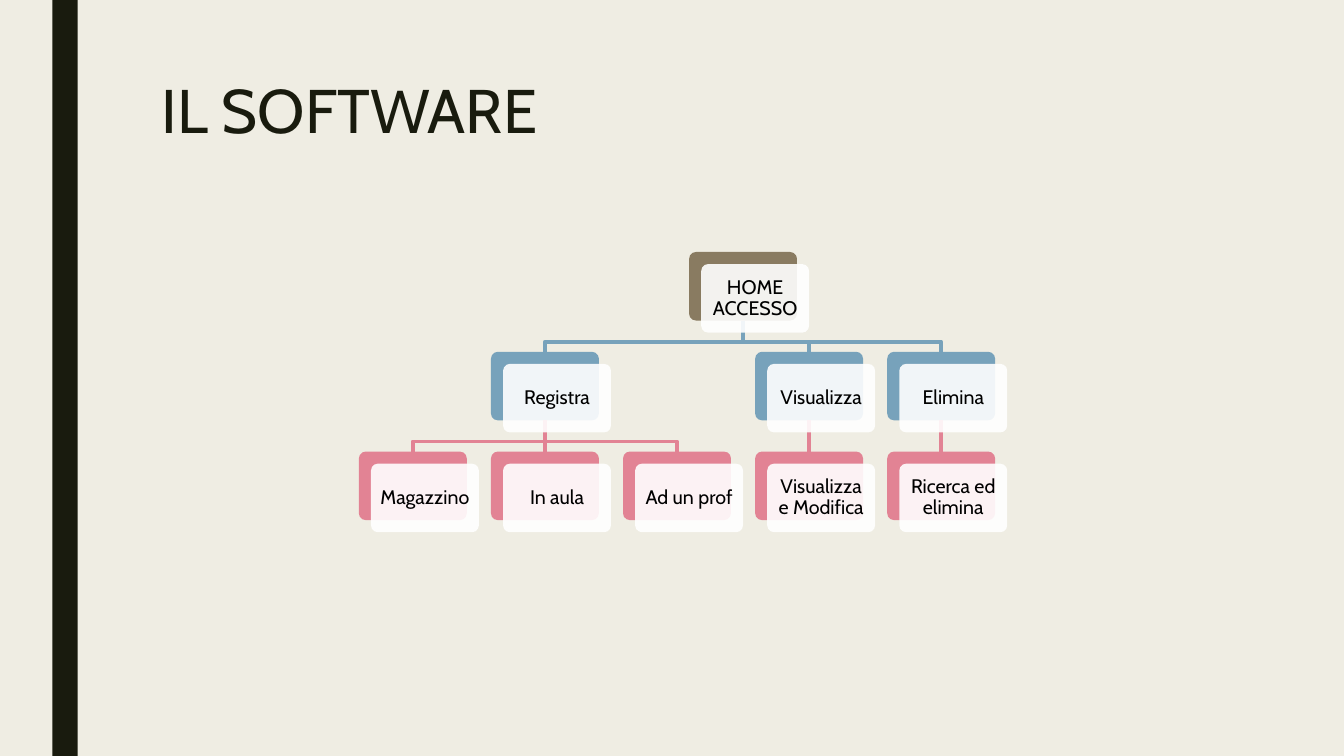
from pptx import Presentation
from pptx.dml.color import RGBColor
from pptx.enum import shapes, text
from pptx.oxml import parse_xml
from pptx.oxml.ns import nsdecls, qn
from pptx.util import Inches, Pt

COLORS = {"paper": "EFEDE3", "ink": "191B0E", "text": "000000", "card": "FFFFFF"}
LEVEL_COLORS = ["897B61", "77A2BB", "E28394"]
FONT = "Cabin"
NODE_WIDTH, NODE_HEIGHT = 1.07, 0.68
COLUMN_STEP, ROW_STEP = 1.31, 0.99
CARD_OFFSET = 0.12
CARD_MARGIN = 0.06
ELBOW_DROP = 0.21

TREE = [
    ("HOME ACCESSO", 2.5, 0, None),
    ("Registra", 1, 1, "HOME ACCESSO"),
    ("Visualizza", 3, 1, "HOME ACCESSO"),
    ("Elimina", 4, 1, "HOME ACCESSO"),
    ("Magazzino", 0, 2, "Registra"),
    ("In aula", 1, 2, "Registra"),
    ("Ad un prof", 2, 2, "Registra"),
    ("Visualizza e Modifica", 3, 2, "Visualizza"),
    ("Ricerca ed elimina", 4, 2, "Elimina"),
]


def rgb(color):
    return RGBColor.from_string(color)


def add_block(page, kind, left, top, width, height, color):
    block = page.shapes.add_shape(
        kind, Inches(left), Inches(top), Inches(width), Inches(height))
    block.shadow.inherit = False
    block.fill.solid()
    block.fill.fore_color.rgb = rgb(color)
    block.line.fill.background()
    return block


def add_node_box(page, left, top, color):
    box = add_block(page, shapes.MSO_SHAPE.ROUNDED_RECTANGLE,
                    left, top, NODE_WIDTH, NODE_HEIGHT, color)
    box.adjustments[0] = 0.1
    return box


def add_card(page, left, top, label):
    card = add_node_box(page, left, top, COLORS["card"])
    fill_color = card.fill._xPr.find(qn("a:solidFill"))[0]
    fill_color.append(parse_xml(f'<a:alpha {nsdecls("a")} val="90000"/>'))
    frame = card.text_frame
    frame.word_wrap = True
    frame.vertical_anchor = text.MSO_ANCHOR.MIDDLE
    frame.margin_left = frame.margin_right = Inches(CARD_MARGIN)
    frame.margin_top = frame.margin_bottom = Inches(CARD_MARGIN)
    para = frame.paragraphs[0]
    para.text = label
    para.alignment = text.PP_ALIGN.CENTER
    para.line_spacing = 0.9
    para.font.name = FONT
    para.font.size = Pt(14)
    para.font.color.rgb = rgb(COLORS["text"])


def add_branch(page, parent, child, color):
    start_x = parent.left + parent.width // 2
    start_y = parent.top + parent.height
    end_x = child.left + child.width // 2
    if abs(start_x - end_x) < Inches(0.01):
        branch = page.shapes.add_connector(
            shapes.MSO_CONNECTOR.STRAIGHT, start_x, start_y, end_x, child.top)
        branch.begin_connect(parent, 2)
        branch.end_connect(child, 0)
        branch._element.spPr.append(parse_xml(f'<a:effectLst {nsdecls("a")}/>'))
    else:
        bend_y = start_y + Inches(ELBOW_DROP)
        builder = page.shapes.build_freeform(start_x, start_y)
        builder.add_line_segments(
            [(start_x, bend_y), (end_x, bend_y), (end_x, child.top)], close=False)
        branch = builder.convert_to_shape()
        branch.shadow.inherit = False
        branch.fill.background()
    branch.line.color.rgb = rgb(color)
    branch.line.width = Pt(2.75)


def add_tree(page, left, top):
    plates = {}
    for label, column, row, _ in TREE:
        plates[label] = add_node_box(
            page, left + column * COLUMN_STEP, top + row * ROW_STEP, LEVEL_COLORS[row])
    for label, _, row, parent in TREE:
        if parent:
            add_branch(page, plates[parent], plates[label], LEVEL_COLORS[row])
    for label, column, row, _ in TREE:
        add_card(page, left + column * COLUMN_STEP + CARD_OFFSET,
                 top + row * ROW_STEP + CARD_OFFSET, label)


def add_title(page, left, top, width, height):
    title = page.shapes.title
    title.left, title.top = Inches(left), Inches(top)
    title.width, title.height = Inches(width), Inches(height)
    frame = title.text_frame
    frame.word_wrap = True
    frame.vertical_anchor = text.MSO_ANCHOR.TOP
    para = frame.paragraphs[0]
    para.text = "IL SOFTWARE"
    para.alignment = text.PP_ALIGN.LEFT
    para.line_spacing = 0.89
    para.font.name = FONT
    para.font.size = Pt(44)
    para.font.color.rgb = rgb(COLORS["ink"])


def main():
    deck = Presentation()
    deck.slide_width, deck.slide_height = Inches(13.33), Inches(7.5)
    page = deck.slides.add_slide(deck.slide_layouts[5])
    page.background.fill.solid()
    page.background.fill.fore_color.rgb = rgb(COLORS["paper"])
    add_block(page, shapes.MSO_SHAPE.RECTANGLE, 0.52, 0, 0.25, 7.5, COLORS["ink"])
    add_title(page, 1.5, 0.75, 10.5, 1.62)
    add_tree(page, 3.56, 2.5)
    deck.save("out.pptx")


if __name__ == "__main__":
    main()
